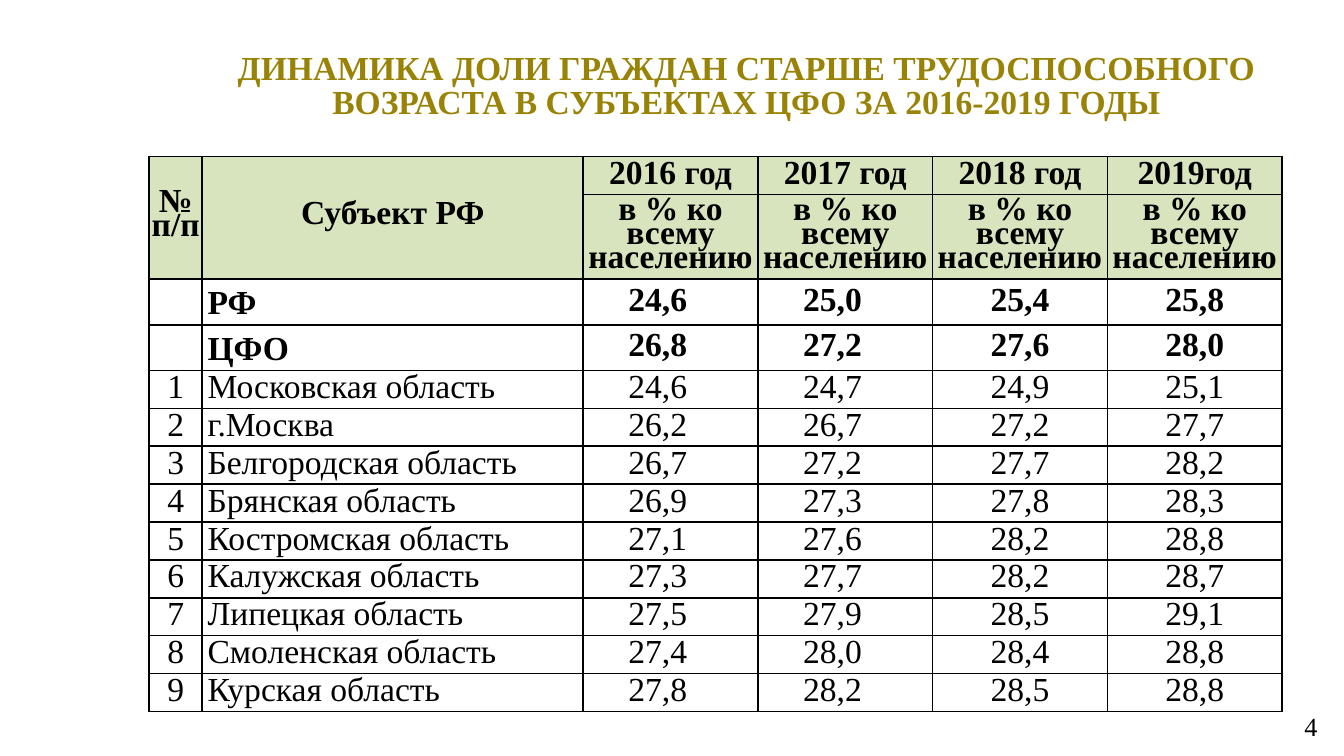
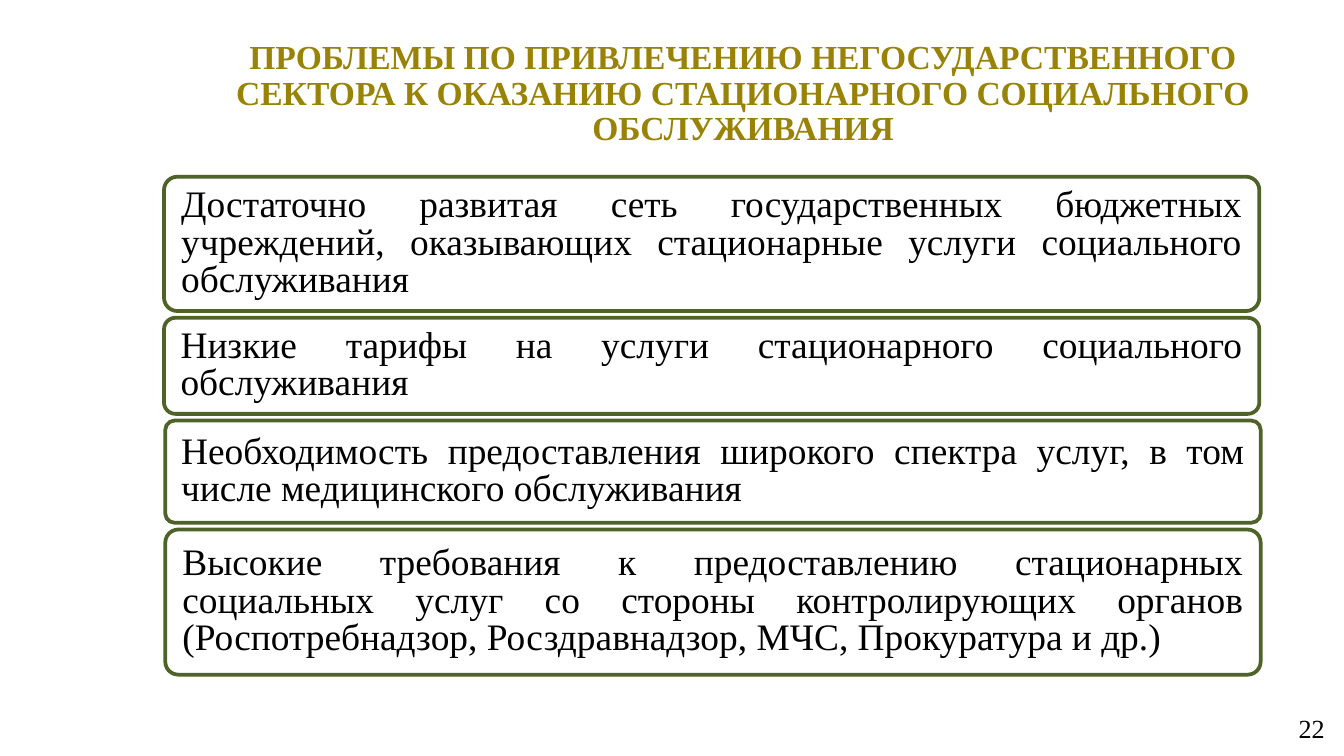
"""Build two slides on social care: a table of shares and a list of problems."""
import pptx
import pptx.util
import pptx.dml.color
import pptx.enum.shapes
import pptx.enum.text
import pptx.oxml
import pptx.oxml.ns
import pptx.text.text

PX = 4572
GOLD = pptx.dml.color.RGBColor(0x99, 0x83, 0x07)
GREEN = pptx.dml.color.RGBColor(0x4F, 0x62, 0x28)
PALE = pptx.dml.color.RGBColor(0xD7, 0xE4, 0xBD)
BLACK = pptx.dml.color.RGBColor(0, 0, 0)
WHITE = pptx.dml.color.RGBColor(255, 255, 255)
ALIGN = pptx.enum.text.PP_ALIGN
MID = pptx.enum.text.MSO_ANCHOR.MIDDLE
TOP = pptx.enum.text.MSO_ANCHOR.TOP
LOW = pptx.enum.text.MSO_ANCHOR.BOTTOM
HEAD = {"name": "Times New Roman", "size": pptx.util.Pt(18), "bold": True}
BODY = HEAD | {"bold": False}
NOTE = BODY | {"size": pptx.util.Pt(20)}
FOOT = BODY | {"size": pptx.util.Pt(14)}


def write(frame, lines, align, pitch, look, color=BLACK):
    frame.word_wrap = True
    for i, line in enumerate(lines):
        para = frame.add_paragraph() if i else frame.paragraphs[0]
        para.alignment = align
        if pitch:
            para.line_spacing = pptx.util.Pt(pitch)
        if line:
            run = para.add_run()
            run.text = line
            font = run.font
        else:
            font = pptx.text.text.Font(para._p.get_or_add_endParaRPr())
        font.color.rgb = color
        for key, val in look.items():
            setattr(font, key, val)


deck = pptx.Presentation()
deck.slide_width = 2000 * PX
deck.slide_height = 1125 * PX

pages = [
    (["ДИНАМИКА ДОЛИ ГРАЖДАН СТАРШЕ ТРУДОСПОСОБНОГО ВОЗРАСТА "
      "В СУБЪЕКТАХ ЦФО ЗА 2016-2019 ГОДЫ"],
     (222, 71, 1778, 118), MID, 18, "4", (1530, 1050, 450, 60)),
    (["ПРОБЛЕМЫ ПО ПРИВЛЕЧЕНИЮ НЕГОСУДАРСТВЕННОГО",
      "СЕКТОРА К ОКАЗАНИЮ СТАЦИОНАРНОГО СОЦИАЛЬНОГО ОБСЛУЖИВАНИЯ"],
     (212, 51, 1788, 144), TOP, 19, "22", (1525, 1054, 466, 60)),
]
slides = []
for title, place, anchor, pitch, number, corner in pages:
    slide = deck.slides.add_slide(deck.slide_layouts[6])
    slides.append(slide)
    frame = slide.shapes.add_textbox(*[n * PX for n in place]).text_frame
    frame.vertical_anchor = anchor
    write(frame, title, ALIGN.CENTER, pitch, HEAD, GOLD)
    frame = slide.shapes.add_textbox(*[n * PX for n in corner]).text_frame
    frame.vertical_anchor = MID
    write(frame, [number], ALIGN.RIGHT, None, FOOT)

rows = [
    ["№ п/п", "Субъект РФ", "2016 год", "2017 год", "2018 год", "2019год"],
    ["", ""] + ["в % ко всему населению"] * 4,
    ["", "РФ", "24,6", "25,0", "25,4", "25,8"],
    ["", "ЦФО", "26,8", "27,2", "27,6", "28,0"],
    ["1", "Московская область", "24,6", "24,7", "24,9", "25,1"],
    ["2", "г.Москва", "26,2", "26,7", "27,2", "27,7"],
    ["3", "Белгородская область", "26,7", "27,2", "27,7", "28,2"],
    ["4", "Брянская область", "26,9", "27,3", "27,8", "28,3"],
    ["5", "Костромская область", "27,1", "27,6", "28,2", "28,8"],
    ["6", "Калужская область", "27,3", "27,7", "28,2", "28,7"],
    ["7", "Липецкая область", "27,5", "27,9", "28,5", "29,1"],
    ["8", "Смоленская область", "27,4", "28,0", "28,4", "28,8"],
    ["9", "Курская область", "27,8", "28,2", "28,5", "28,8"],
]
wide = [79, 567] + [260] * 4
tall = [56, 126, 67, 67] + [56] * 9
grid = slides[0].shapes.add_table(
    len(rows), len(wide), 222 * PX, 233 * PX, sum(wide) * PX, sum(tall) * PX).table
for col, width in zip(grid.columns, wide):
    col.width = width * PX
for row, height in zip(grid.rows, tall):
    row.height = height * PX
for c in (0, 1):
    grid.cell(0, c).merge(grid.cell(1, c))

for r, row in enumerate(rows):
    for c, text in enumerate(row):
        cell = grid.cell(r, c)
        left = right = 8
        pitch = 16
        if r < 2:
            cell.fill.solid()
            cell.fill.fore_color.rgb = PALE
            if r == 1 or c == 0:
                left = right = 0
            if r == 1 or c < 2:
                pitch = 13
        else:
            cell.fill.background()
            if c in (2, 3):
                right = 46
            elif c > 3:
                left = right = 2
        form = {
            "margin_left": left * PX,
            "margin_right": right * PX,
            "margin_top": (8 if text else 4) * PX,
            "margin_bottom": (0 if r == 1 else 4) * PX,
            "vertical_anchor": LOW if r > 1 and c < 2 else MID,
        }
        for key, val in form.items():
            setattr(cell, key, val)
        align = ALIGN.LEFT if r > 1 and c == 1 else ALIGN.CENTER
        write(cell.text_frame, [text], align, pitch, HEAD if r < 4 else BODY)
        for i, side in enumerate("LRTB"):
            edge = pptx.oxml.parse_xml(
                f'<a:ln{side} {pptx.oxml.ns.nsdecls("a")} w="12700"><a:solidFill>'
                f'<a:srgbClr val="{BLACK}"/></a:solidFill></a:ln{side}>')
            cell._tc.get_or_add_tcPr().insert(i, edge)

notes = [
    (244, 263, 200, 0.1, "Достаточно развитая сеть государственных бюджетных учреждений, "
     "оказывающих стационарные услуги социального обслуживания"),
    (244, 473, 143, 0.12, "Низкие тарифы на услуги стационарного социального обслуживания"),
    (246, 626, 152, 0.09, "Необходимость предоставления широкого спектра услуг, "
     "в том числе медицинского обслуживания"),
    (246, 788, 216, 0.09, "Высокие требования к предоставлению стационарных социальных услуг "
     "со стороны контролирующих органов "
     "(Роспотребнадзор, Росздравнадзор, МЧС, Прокуратура и др.)"),
]
for left, top, height, bend, text in notes:
    card = slides[1].shapes.add_shape(
        pptx.enum.shapes.MSO_SHAPE.ROUNDED_RECTANGLE,
        left * PX, top * PX, 1630 * PX, height * PX)
    card.adjustments[0] = bend
    card.shadow.inherit = False
    card.fill.solid()
    card.fill.fore_color.rgb = WHITE
    card.line.color.rgb = GREEN
    card.line.width = pptx.util.Pt(2)
    card.text_frame.vertical_anchor = MID
    write(card.text_frame, [text], ALIGN.JUSTIFY, 20, NOTE)

deck.save("out.pptx")
